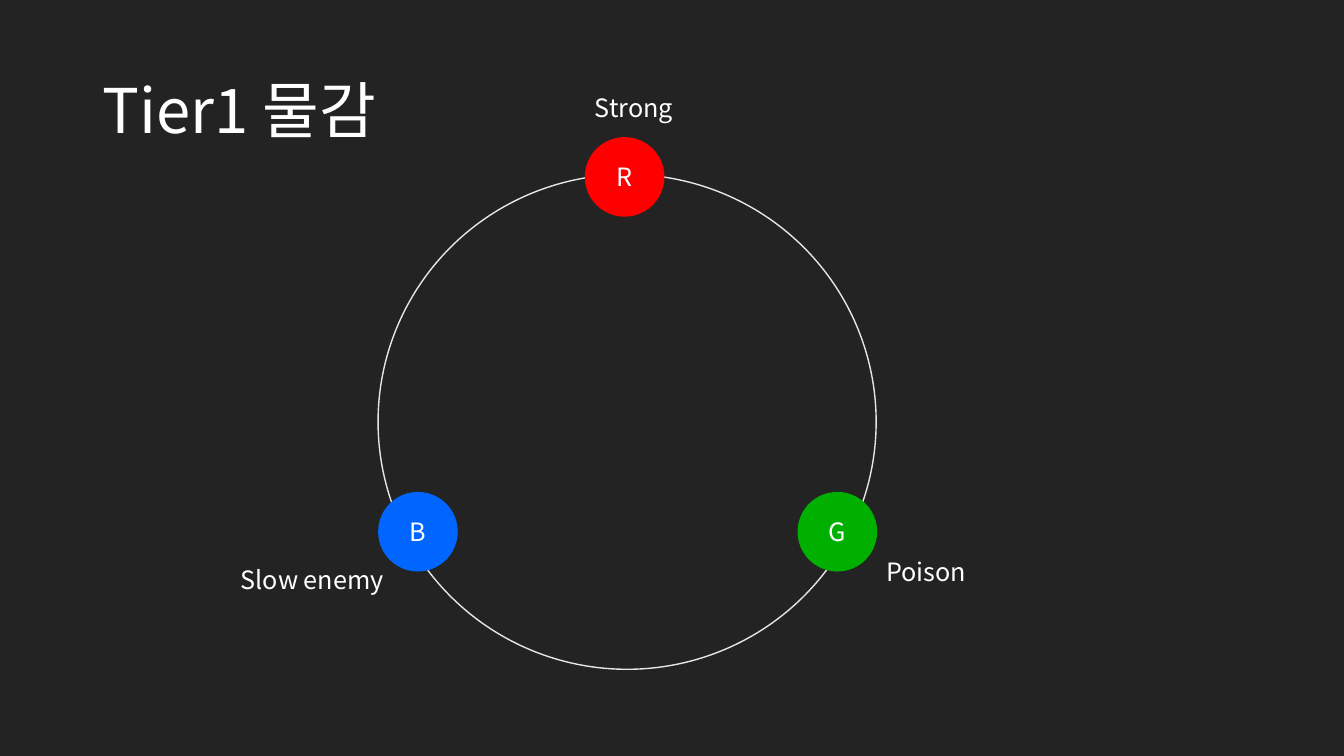
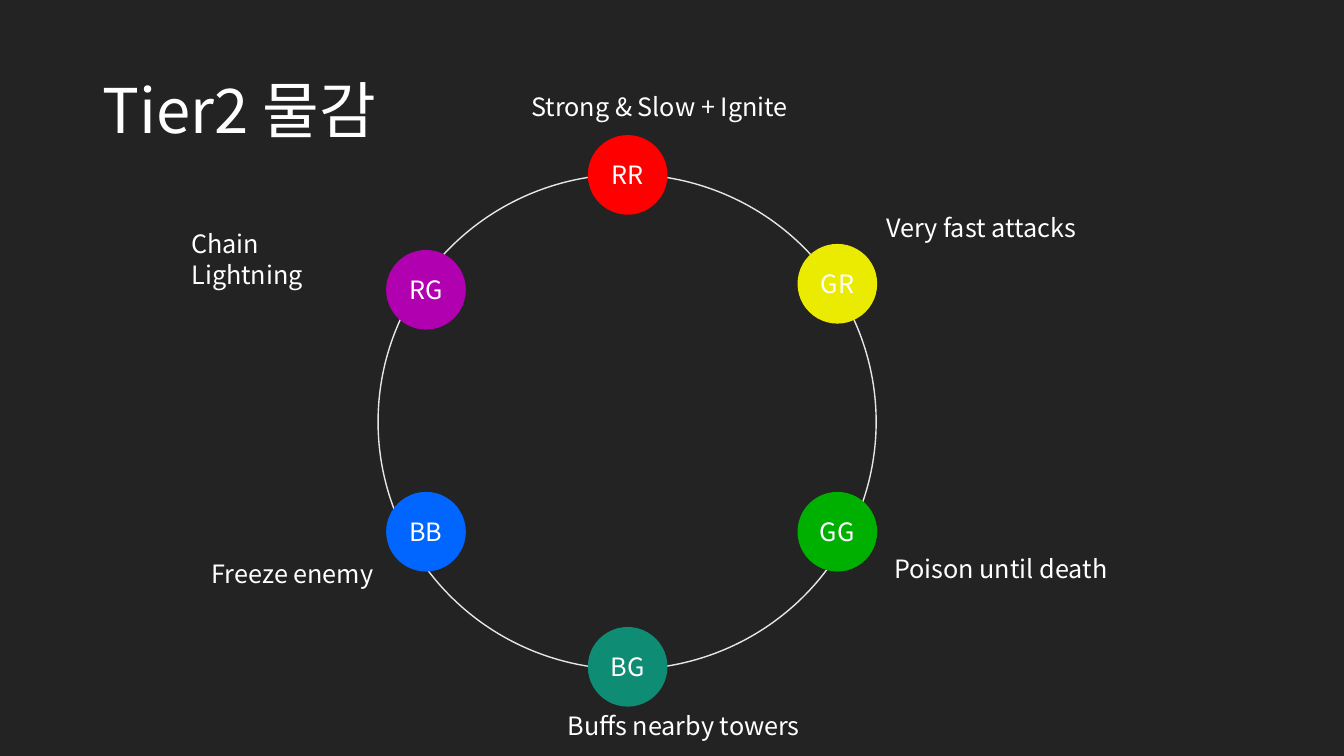
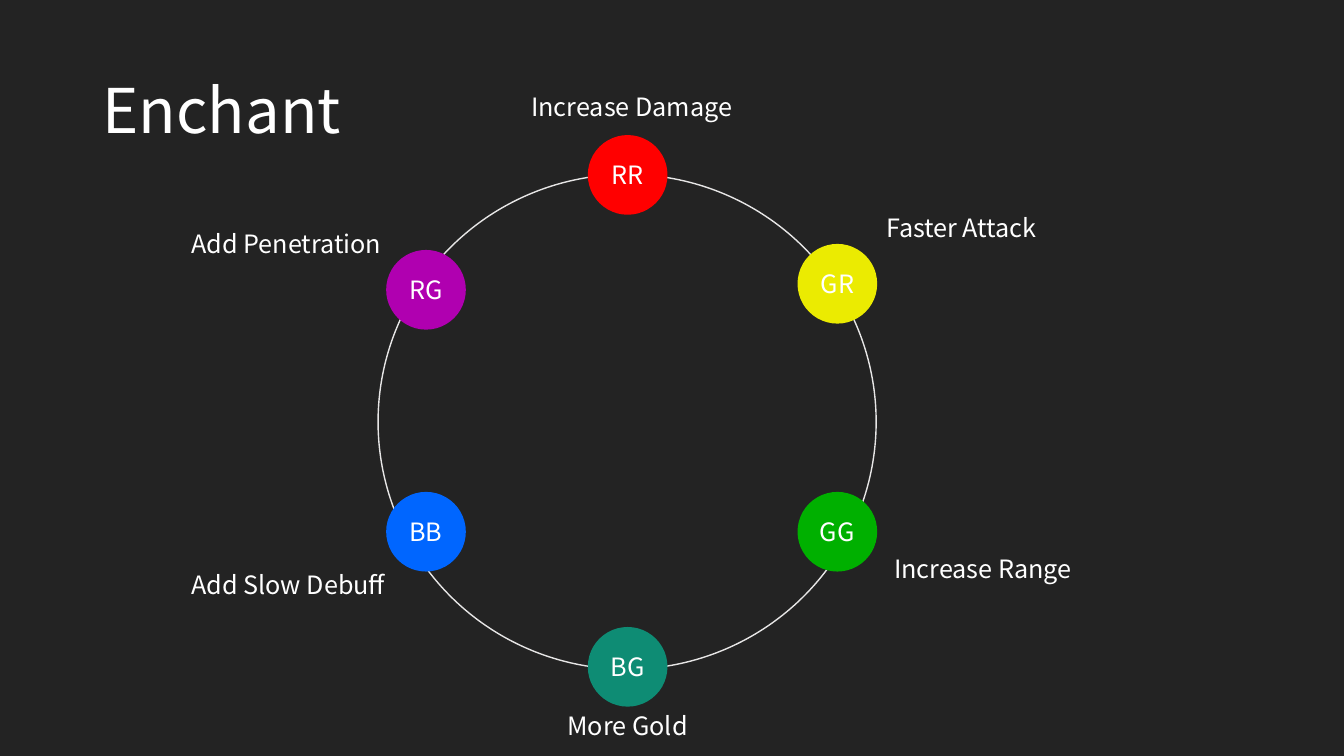
import lxml.etree
import pptx
import pptx.dml.color
import pptx.enum.shapes
import pptx.enum.text
import pptx.oxml.ns
import pptx.util

Inches = pptx.util.Inches
FONT = "Noto Sans CJK KR"
BACKGROUND, WHITE, RING = "232323", "FFFFFF", "E7E6E6"
RED, GREEN, BLUE = "FF0000", "00B000", "0066FF"
PURPLE, TEAL, YELLOW = "B000B0", "0E8C74", "EBEB01"
PAINT_SIZE = 0.79
LABEL_HEIGHT = 0.4
WIDE = 2.99

BASIC_PAINTS = [
    ("R", RED, 5.8, 1.36),
    ("G", GREEN, 7.91, 4.88),
    ("B", BLUE, 3.75, 4.88),
]
MIXED_PAINTS = [
    ("RR", RED, 5.83, 1.34),
    ("GG", GREEN, 7.91, 4.88),
    ("BB", BLUE, 3.83, 4.88),
    ("RG", PURPLE, 3.83, 2.48),
    ("BG", TEAL, 5.83, 6.22),
    ("GR", YELLOW, 7.91, 2.42),
]
WHEELS = [
    ("Tier1 물감", BASIC_PAINTS, [
        ("Strong", 5.8, 0.87, 1.03),
        ("Slow enemy", 2.29, 5.55, 1.67),
        ("Poison", 8.69, 5.47, 1.02),
    ]),
    ("Tier2 물감", MIXED_PAINTS, [
        ("Strong & Slow + Ignite", 5.17, 0.86, WIDE),
        ("Very fast attacks", 8.69, 2.06, 2.14),
        ("Freeze enemy", 2, 5.49, WIDE),
        ("Chain Lightning", 1.8, 2.22, 2.02),
        ("Poison until death", 8.77, 5.44, 2.62),
        ("Buffs nearby towers", 5.53, 7, 2.64),
    ]),
    ("Enchant", MIXED_PAINTS, [
        ("Increase Damage", 5.17, 0.86, WIDE),
        ("Faster Attack", 8.69, 2.06, WIDE),
        ("Add Slow Debuff", 1.8, 5.6, WIDE),
        ("Add Penetration", 1.8, 2.22, WIDE),
        ("Increase Range", 8.77, 5.44, WIDE),
        ("More Gold", 5.53, 7, WIDE),
    ]),
]


def color(value):
    """Return the colour for a hex string."""
    return pptx.dml.color.RGBColor.from_string(value)


def write_text(shape, text, size=18):
    """Write one white paragraph into a shape and return the paragraph."""
    shape.text_frame.text = text
    shape.text_frame.word_wrap = True
    paragraph = shape.text_frame.paragraphs[0]
    font = paragraph.runs[0].font
    font.size = pptx.util.Pt(size)
    font.name = FONT
    font.color.rgb = color(WHITE)
    properties = paragraph.runs[0]._r.get_or_add_rPr()
    lxml.etree.SubElement(properties, pptx.oxml.ns.qn("a:ea"), typeface=FONT)
    return paragraph


def add_title(slide, text):
    """Add the slide title."""
    title = slide.shapes.add_textbox(Inches(0.92), Inches(0.4), Inches(11.5), Inches(1.45))
    write_text(title, text, 44).line_spacing = 0.9
    title.text_frame.vertical_anchor = pptx.enum.text.MSO_ANCHOR.MIDDLE


def add_label(slide, text, left, top, width):
    """Add the description of a paint's effect."""
    label = slide.shapes.add_textbox(Inches(left), Inches(top), Inches(width), Inches(LABEL_HEIGHT))
    write_text(label, text)
    label.text_frame.auto_size = pptx.enum.text.MSO_AUTO_SIZE.SHAPE_TO_FIT_TEXT


def add_ellipse(slide, left, top, width, height):
    """Add an ellipse without a shadow."""
    ellipse = slide.shapes.add_shape(
        pptx.enum.shapes.MSO_SHAPE.OVAL, Inches(left), Inches(top), Inches(width), Inches(height))
    ellipse.shadow.inherit = False
    return ellipse


def add_ring(slide):
    """Add the outlined circle that joins the paints."""
    ring = add_ellipse(slide, 3.75, 1.73, 4.94, 4.91)
    ring.fill.background()
    ring.line.color.rgb = color(RING)
    ring.line.width = pptx.util.Pt(1)


def add_paint(slide, name, fill, left, top):
    """Add a filled paint disc with its centred name."""
    paint = add_ellipse(slide, left, top, PAINT_SIZE, PAINT_SIZE)
    paint.fill.solid()
    paint.fill.fore_color.rgb = color(fill)
    paint.line.fill.background()
    write_text(paint, name).alignment = pptx.enum.text.PP_ALIGN.CENTER
    paint.text_frame.vertical_anchor = pptx.enum.text.MSO_ANCHOR.MIDDLE


def add_wheel_slide(presentation, title, paints, labels):
    """Add a slide with a title and a labelled paint wheel."""
    slide = presentation.slides.add_slide(presentation.slide_layouts[6])
    add_title(slide, title)
    add_ring(slide)
    for paint in paints:
        add_paint(slide, *paint)
    for label in labels:
        add_label(slide, *label)


def main():
    """Build and save the presentation."""
    presentation = pptx.Presentation()
    presentation.slide_width = Inches(13.33)
    presentation.slide_height = Inches(7.5)
    background = presentation.slide_master.background.fill
    background.solid()
    background.fore_color.rgb = color(BACKGROUND)
    for wheel in WHEELS:
        add_wheel_slide(presentation, *wheel)
    presentation.save("out.pptx")


main()
